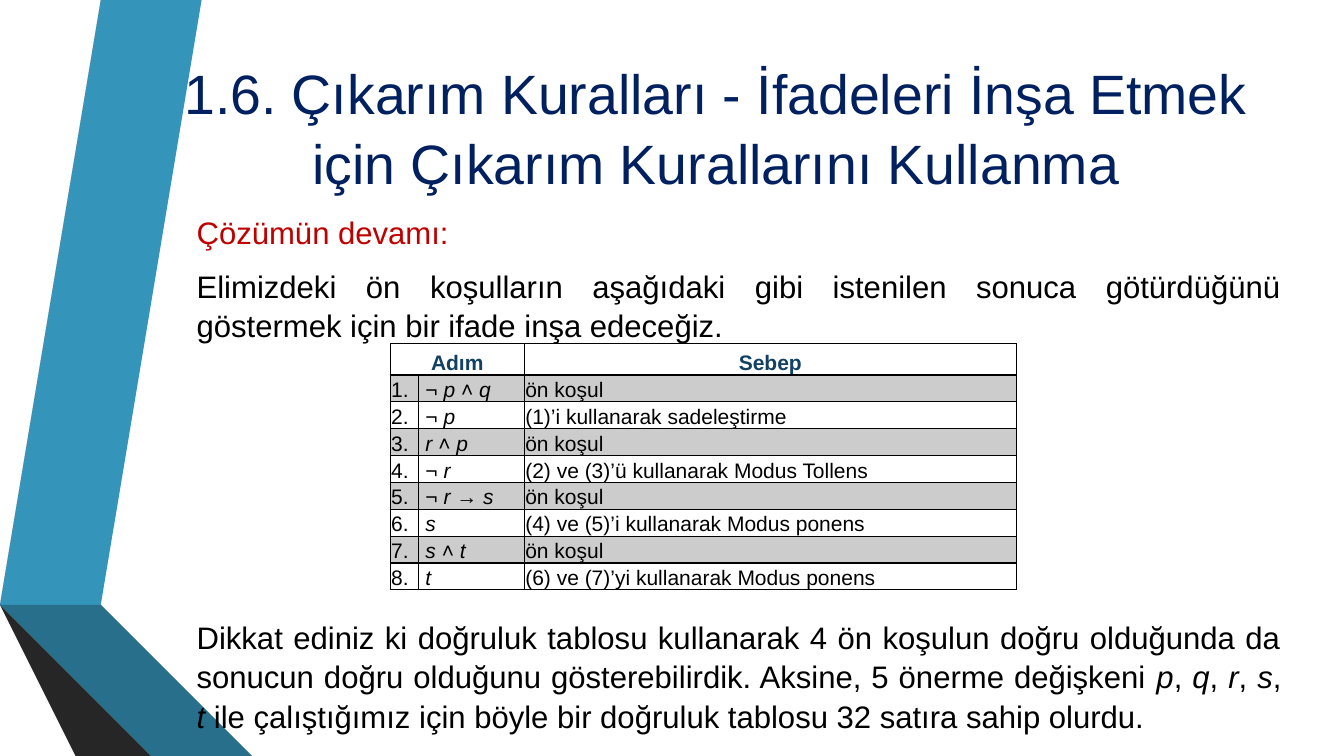
from dataclasses import dataclass

from lxml import etree
from pptx import Presentation
from pptx import util as u
from pptx.dml.color import RGBColor
from pptx.enum import text
from pptx.oxml import ns


@dataclass(frozen=True)
class Theme:
    font: str = "Arial"
    title: str = "002060"
    accent: str = "C00000"
    ink: str = "000000"
    header: str = "134163"
    band: str = "CCCCCC"
    title_size: float = 39.6
    body_size: float = 22.2
    table_size: float = 15


THEME = Theme()

# Ribbon facets: fill colour and outline points in inches
RIBBON = [
    ("3494BA", [(0.5, 5.78), (0.77, 5.83), (1.73, 0), (1.45, 0)]),
    ("595959", [(1.39, 0), (1.11, 0), (0.16, 5.73), (0.44, 5.77)]),
    ("262626", [(0.16, 5.73), (1.45, 7.5), (1.51, 7.5)]),
    ("1A4A5D", [(0.5, 5.79), (2.08, 7.5), (2.14, 7.5)]),
    ("276F8B", [(0.5, 5.78), (2.14, 7.5), (2.83, 7.5), (0.77, 5.83)]),
    ("404040", [(2.02, 7.5), (0.48, 5.83), (0.43, 5.77), (0.16, 5.73), (1.51, 7.5)]),
]

# Text between asterisks is italic
TITLE = ("1.6. Çıkarım Kuralları - İfadeleri İnşa Etmek "
         "için Çıkarım Kurallarını Kullanma")
# Paragraph text, colour, space before in points
BODY = [
    ("Çözümün devamı:", THEME.accent, 0),
    ("Elimizdeki ön koşulların aşağıdaki gibi istenilen sonuca götürdüğünü "
     "göstermek için bir ifade inşa edeceğiz.", THEME.ink, 4.4),
    ("Dikkat ediniz ki doğruluk tablosu kullanarak 4 ön koşulun doğru olduğunda da "
     "sonucun doğru olduğunu gösterebilirdik. Aksine, 5 önerme değişkeni *p*, *q*, "
     "*r*, *s*, *t* ile çalıştığımız için böyle bir doğruluk tablosu 32 satıra sahip "
     "olurdu.", THEME.ink, 189),
]
PREMISE = "ön koşul"
STEPS = [
    ("¬ *p* ˄ *q*", PREMISE),
    ("¬ *p*", "(1)’i kullanarak sadeleştirme"),
    ("*r* ˄ *p*", PREMISE),
    ("¬ *r*", "(2) ve (3)’ü kullanarak Modus Tollens"),
    ("¬ *r* → *s*", PREMISE),
    ("*s*", "(4) ve (5)’i kullanarak Modus ponens"),
    ("*s* ˄ *t*", PREMISE),
    ("*t*", "(6) ve (7)’yi kullanarak Modus ponens"),
]


def write(p, content, size, color, bold=False):
    """Fill a paragraph, with the marked parts in italics."""
    for i, part in enumerate(content.split("*")):
        if not part:
            continue
        r = p.add_run()
        r.text = part
        r.font.name = THEME.font
        r.font.size = u.Pt(size)
        r.font.bold = bold
        r.font.italic = i % 2 == 1
        r.font.color.rgb = RGBColor.from_string(color)


def place(sp, left, top, width, height, anchor):
    """Move a placeholder and fix its text frame."""
    sp.left, sp.top = u.Inches(left), u.Inches(top)
    sp.width, sp.height = u.Inches(width), u.Inches(height)
    tf = sp.text_frame
    tf.word_wrap = True
    tf.auto_size = text.MSO_AUTO_SIZE.NONE
    tf.vertical_anchor = anchor
    return tf


def add_ribbon(s):
    for depth, (color, points) in enumerate(RIBBON):
        builder = s.shapes.build_freeform(*points[0], scale=u.Inches(1))
        builder.add_line_segments(points[1:], close=True)
        sp = builder.convert_to_shape()
        sp.shadow.inherit = False
        sp.fill.solid()
        sp.fill.fore_color.rgb = RGBColor.from_string(color)
        sp.line.fill.background()
        # Behind the placeholders
        s.shapes._spTree.insert(2 + depth, sp._element)


def add_title(s):
    tf = place(s.shapes.title, 1.62, 0.48, 10.96, 1.54, text.MSO_ANCHOR.MIDDLE)
    p = tf.paragraphs[0]
    p.alignment = text.PP_ALIGN.CENTER
    p.line_spacing = 1.05
    write(p, TITLE, THEME.title_size, THEME.title)


def add_body(s):
    tf = place(s.placeholders[1], 1.85, 2.05, 10.96, 5.24, text.MSO_ANCHOR.TOP)
    for i, (content, color, before) in enumerate(BODY):
        p = tf.add_paragraph() if i else tf.paragraphs[0]
        pPr = p._p.get_or_add_pPr()
        pPr.set("marL", "0")
        pPr.set("indent", "0")
        etree.SubElement(pPr, ns.qn("a:buNone"))
        p.alignment = text.PP_ALIGN.JUSTIFY
        p.line_spacing = 1.05
        p.space_before, p.space_after = u.Pt(before), u.Pt(6)
        write(p, content, THEME.body_size, color)


def add_borders(cell):
    tcPr = cell._tc.get_or_add_tcPr()
    for side in ("lnL", "lnR", "lnT", "lnB"):
        ln = etree.SubElement(tcPr, ns.qn("a:" + side), w=str(u.Pt(1)))
        fill = etree.SubElement(ln, ns.qn("a:solidFill"))
        etree.SubElement(fill, ns.qn("a:srgbClr"), val=THEME.ink)


def fill_cell(cell, content, header=False, band=False, indent=0.01):
    add_borders(cell)
    if band:
        cell.fill.solid()
        cell.fill.fore_color.rgb = RGBColor.from_string(THEME.band)
    else:
        cell.fill.background()
    cell.margin_left, cell.margin_right = u.Inches(indent), u.Inches(0.01)
    cell.margin_top = cell.margin_bottom = 0
    cell.vertical_anchor = text.MSO_ANCHOR.BOTTOM
    p = cell.text_frame.paragraphs[0]
    if header:
        p.alignment = text.PP_ALIGN.CENTER
    else:
        p.line_spacing = 1.15
    color = THEME.header if header else THEME.ink
    write(p, content, THEME.table_size, color, bold=header)


def add_proof(s):
    frame = s.shapes.add_table(len(STEPS) + 1, 3, u.Inches(3.87), u.Inches(3.41),
                               u.Inches(6.21), u.Inches(2.23))
    table = frame.table
    table.first_row = table.horz_banding = False
    for column, width in zip(table.columns, (0.28, 1.05, 4.88)):
        column.width = u.Inches(width)
    for i, row in enumerate(table.rows):
        row.height = u.Inches(0.24 if i else 0.31)

    # Header row
    table.cell(0, 0).merge(table.cell(0, 1))
    for col, heading in enumerate(("Adım", "", "Sebep")):
        fill_cell(table.cell(0, col), heading, header=True)

    # Numbered steps, odd ones shaded
    for n, (formula, reason) in enumerate(STEPS, start=1):
        for col, content in enumerate((f"{n}.", formula, reason)):
            fill_cell(table.cell(n, col), content, band=n % 2 == 1,
                      indent=0.07 if col == 1 else 0.01)


def main():
    prs = Presentation()
    prs.slide_width, prs.slide_height = u.Inches(13.33), u.Inches(7.5)
    s = prs.slides.add_slide(prs.slide_layouts[1])
    add_ribbon(s)
    add_title(s)
    add_body(s)
    add_proof(s)
    prs.save("out.pptx")


if __name__ == "__main__":
    main()
